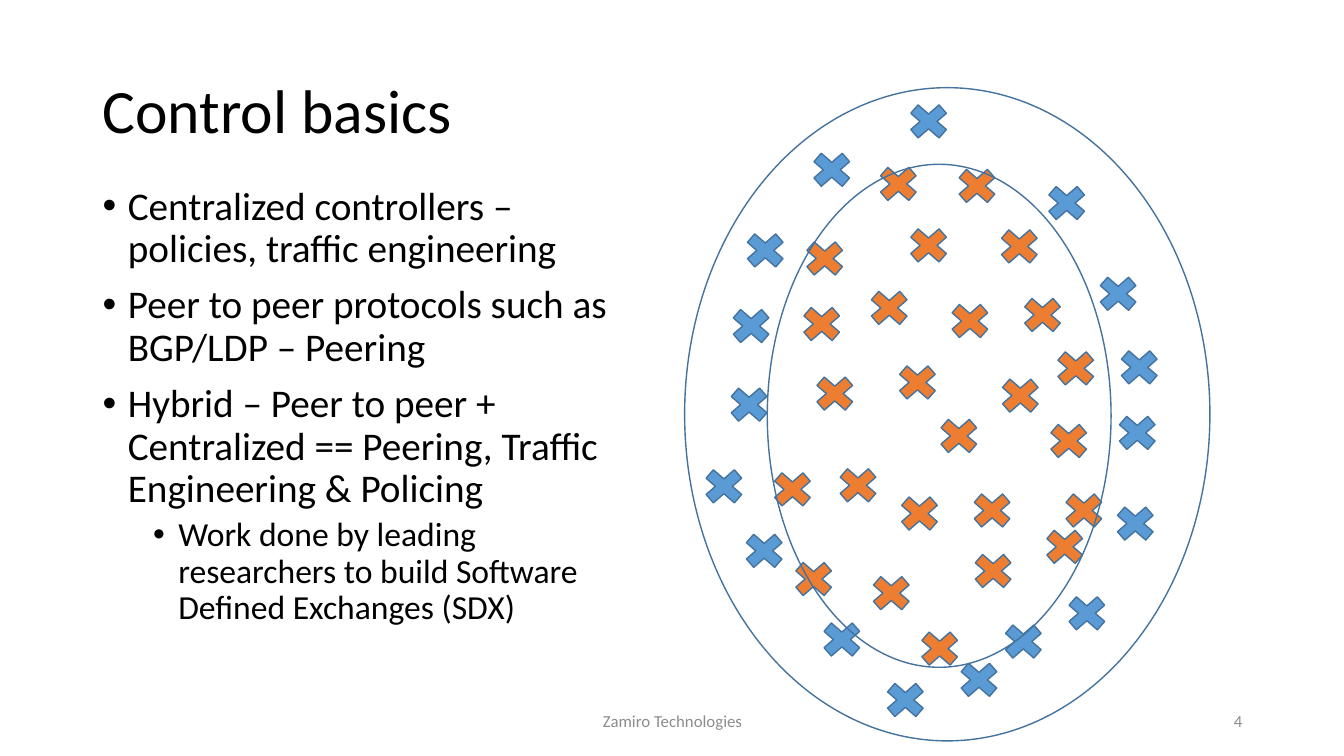
from lxml.etree import SubElement
from pptx import Presentation
from pptx.dml.color import RGBColor
from pptx.enum.shapes import MSO_SHAPE
from pptx.enum.text import MSO_ANCHOR, PP_ALIGN
from pptx.oxml.ns import qn
from pptx.util import Inches, Pt

COLORS = {"text": "000000", "footer": "8C8C8C", "line": "43739E",
          "core": "ED7D31", "edge": "5B9BD5"}
FONT = "Calibri"

# Text, level
BULLETS = [
    ("Centralized controllers – policies, traffic engineering", 0),
    ("Peer to peer protocols such as BGP/LDP – Peering", 0),
    ("Hybrid – Peer to peer + Centralized == Peering, Traffic Engineering & Policing", 0),
    ("Work done by leading researchers to build Software Defined Exchanges (SDX)", 1),
]
# Per level: size, space before, left indent
LEVELS = [(28, 10, 0.25), (24, 5, 0.75)]

# Node offsets from the top left of the network diagram
NODE_SIZE = (0.54, 0.47)
NODES = {
    "core": [
        (1.85, 0.72), (2.63, 0.74), (1.09, 2.11), (2.15, 1.33), (3.05, 1.34),
        (1.12, 1.46), (1.76, 1.95), (2.56, 2.08), (3.28, 2.02), (3.61, 2.55),
        (1.22, 2.8), (2.04, 2.69), (3.06, 2.82), (2.45, 3.22), (3.54, 3.27),
        (0.8, 3.75), (1.45, 3.71), (2.06, 3.99), (2.78, 3.96), (3.69, 3.96),
        (3.5, 4.32), (2.79, 4.56), (1.01, 4.64), (1.78, 4.78), (2.26, 5.33),
    ],
    "edge": [
        (2.15, 0.1), (1.19, 0.58), (3.52, 0.91), (0.53, 1.38), (4.03, 1.81),
        (0.39, 2.13), (4.24, 2.54), (0.37, 2.91), (4.22, 3.19), (0.12, 3.72),
        (4.2, 4.09), (0.52, 4.36), (3.72, 4.98), (1.29, 5.24), (3.09, 5.26),
        (2.65, 5.64), (1.92, 5.84),
    ],
}


def rgb(name):
    return RGBColor.from_string(COLORS[name])


def add_box(slide, box, anchor):
    tf = slide.shapes.add_textbox(*map(Inches, box)).text_frame
    tf.word_wrap = True
    tf.vertical_anchor = anchor
    return tf


def add_run(p, text, size, color="text"):
    r = p.add_run()
    r.text = text
    for name, value in {"name": FONT, "size": Pt(size)}.items():
        setattr(r.font, name, value)
    r.font.color.rgb = rgb(color)


def add_line(slide, box, text, size, color="text", **formats):
    p = add_box(slide, box, MSO_ANCHOR.MIDDLE).paragraphs[0]
    for name, value in formats.items():
        setattr(p, name, value)
    add_run(p, text, size, color)


def add_bullets(slide, box):
    tf = add_box(slide, box, MSO_ANCHOR.TOP)
    for i, (text, level) in enumerate(BULLETS):
        size, before, indent = LEVELS[level]
        p = tf.paragraphs[0] if i == 0 else tf.add_paragraph()
        pPr = p._p.get_or_add_pPr()
        pPr.set("marL", str(Inches(indent)))
        pPr.set("indent", str(Inches(-0.25)))
        SubElement(pPr, qn("a:buFont")).set("typeface", "Arial")
        SubElement(pPr, qn("a:buChar")).set("char", "•")
        formats = {"level": level, "line_spacing": 0.9,
                   "space_before": Pt(before if i else 0)}
        for name, value in formats.items():
            setattr(p, name, value)
        add_run(p, text, size)


def add_outlined(slide, kind, box, fill=None):
    sp = slide.shapes.add_shape(kind, *map(Inches, box))
    sp.shadow.inherit = False
    if fill:
        sp.fill.solid()
        sp.fill.fore_color.rgb = rgb(fill)
    else:
        sp.fill.background()
    sp.line.color.rgb = rgb("line")
    sp.line.width = Pt(1)


def add_network(slide, box):
    left, top = box[:2]
    # Outer ring
    add_outlined(slide, MSO_SHAPE.OVAL, box)
    # Core and edge nodes
    for role, offsets in NODES.items():
        for dx, dy in offsets:
            add_outlined(slide, MSO_SHAPE.MATH_MULTIPLY,
                         (left + dx, top + dy, *NODE_SIZE), role)
    # Inner ring
    add_outlined(slide, MSO_SHAPE.OVAL, (left + 0.82, top + 0.76, 3.41, 4.99))


def add_footer(slide, box):
    left, top, width, height = box
    add_line(slide, (left + 3.5, top, 4.5, height), "Zamiro Technologies", 12,
             "footer", alignment=PP_ALIGN.CENTER)
    add_line(slide, (left + width - 3, top, 3, height), "4", 12,
             "footer", alignment=PP_ALIGN.RIGHT)


def main():
    prs = Presentation()
    prs.slide_width, prs.slide_height = Inches(13.33), Inches(7.5)
    slide = prs.slides.add_slide(prs.slide_layouts[6])
    add_line(slide, (0.92, 0.4, 11.5, 1.45), "Control basics", 44, line_spacing=0.9)
    add_bullets(slide, (0.92, 1.8, 5.52, 5.38))
    add_footer(slide, (0.92, 6.95, 11.5, 0.4))
    add_network(slide, (6.79, 0.87, 5.21, 6.48))
    prs.save("out.pptx")


if __name__ == "__main__":
    main()
